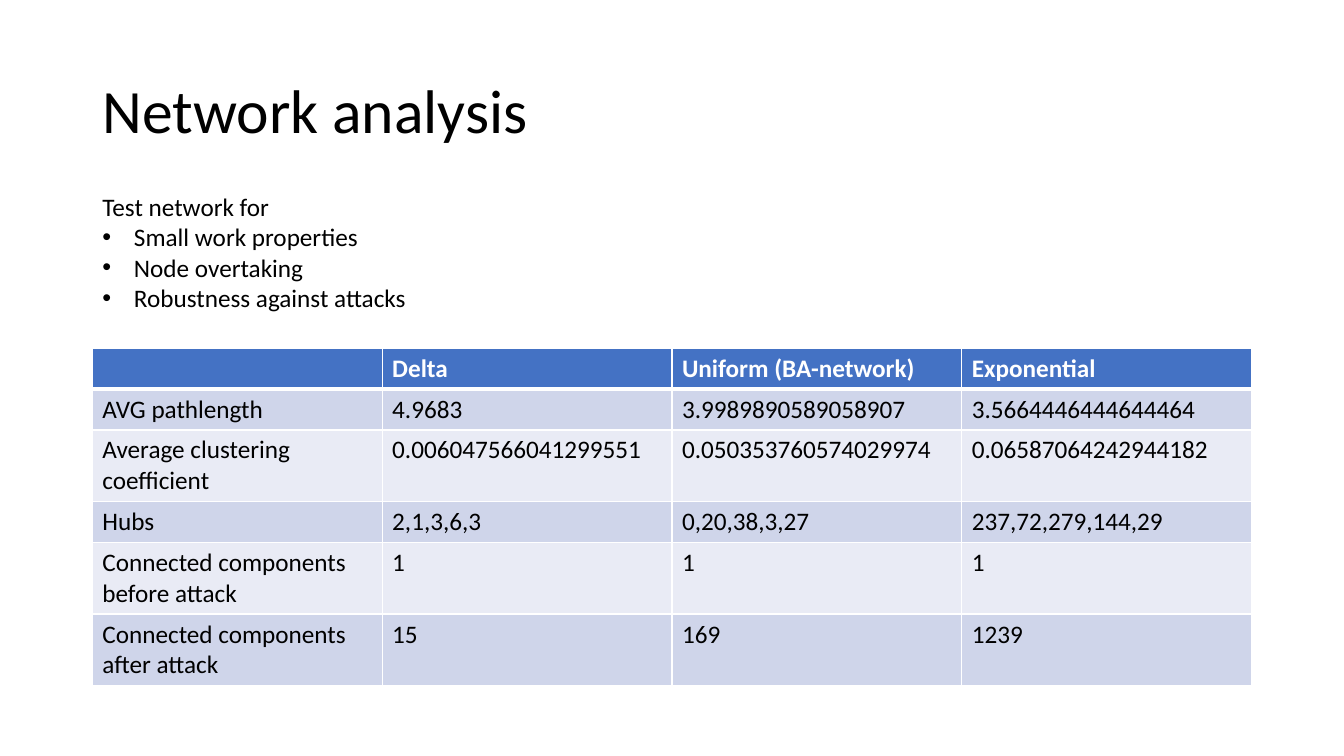
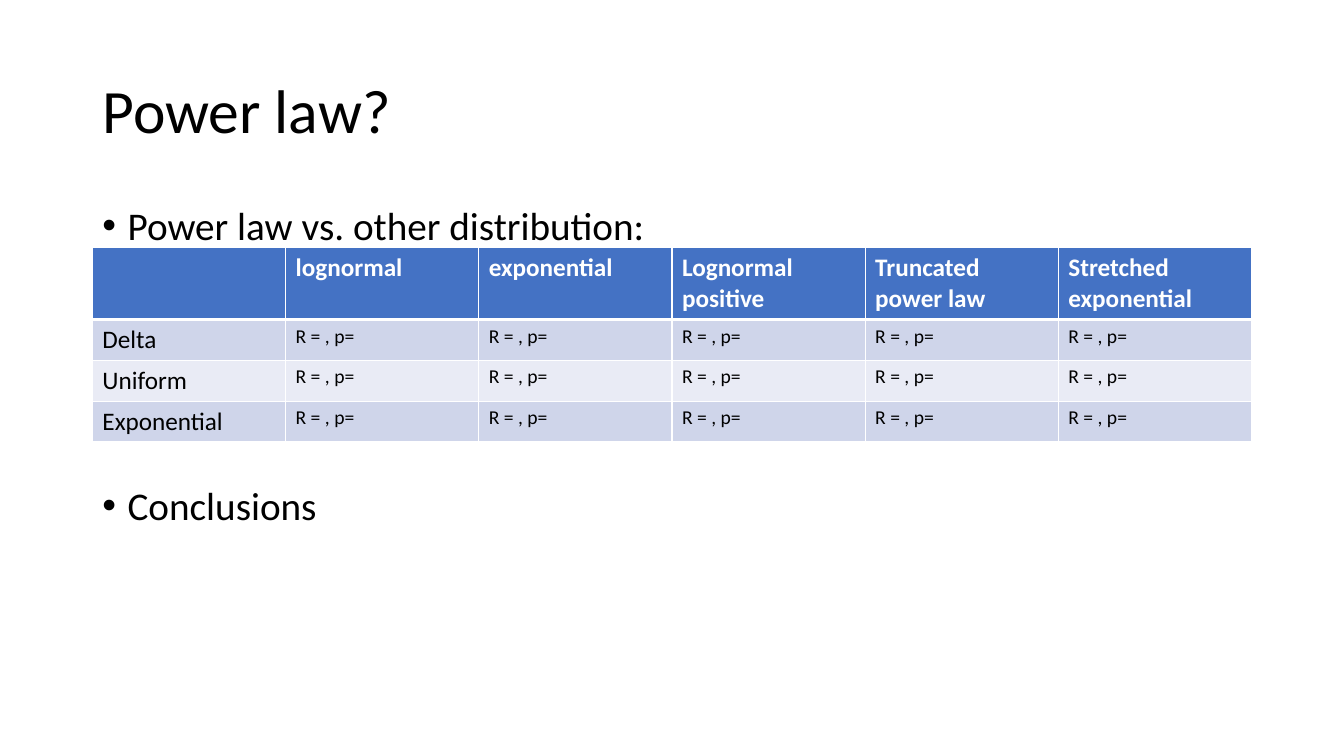
from lxml.etree import SubElement
from pptx import Presentation
from pptx.dml.color import RGBColor
from pptx.enum.text import MSO_ANCHOR, MSO_AUTO_SIZE, PP_ALIGN
from pptx.oxml.ns import qn
from pptx.util import Pt

COLORS = {
    "text": "000000",
    "header": "4472C4",
    "band": "CFD5EA",
    "light": "E9EBF5",
    "white": "FFFFFF",
}


class Deck:
    font = "Calibri"
    left, width = 66, 828
    row_height = 29.2

    def __init__(self):
        self.prs = Presentation()
        self.prs.slide_width, self.prs.slide_height = Pt(960), Pt(540)
        self.s = None

    def add_slide(self, title):
        self.s = self.prs.slides.add_slide(self.prs.slide_layouts[1])
        tf = self.place(self.s.shapes.title, 28.75, 104.4, MSO_ANCHOR.MIDDLE)
        self.add_text(tf.paragraphs[0], title, size=44, line_spacing=0.9)

    def place(self, sp, top, height, anchor):
        box = {"left": self.left, "top": top, "width": self.width, "height": height}
        for name, value in box.items():
            setattr(sp, name, Pt(value))
        tf = sp.text_frame
        frame = {"word_wrap": True, "auto_size": MSO_AUTO_SIZE.NONE, "vertical_anchor": anchor}
        for name, value in frame.items():
            setattr(tf, name, value)
        return tf

    def add_text(self, p, text, size=18, color="text", bold=False, line_spacing=1.0, space_before=0):
        layout = {
            "alignment": PP_ALIGN.LEFT,
            "line_spacing": line_spacing,
            "space_before": Pt(space_before),
            "space_after": Pt(0),
        }
        for name, value in layout.items():
            setattr(p, name, value)
        r = p.add_run()
        r.text = text
        for name, value in {"name": self.font, "size": Pt(size), "bold": bold}.items():
            setattr(r.font, name, value)
        r.font.color.rgb = RGBColor.from_string(COLORS[color])

    def bullet(self, p, indent):
        pPr = p._p.get_or_add_pPr()
        pPr.set("marL", str(Pt(indent)))
        pPr.set("indent", str(-Pt(indent)))
        if indent:
            SubElement(pPr, qn("a:buFont"), typeface="Arial")
            SubElement(pPr, qn("a:buChar"), char="•")
        else:
            SubElement(pPr, qn("a:buNone"))

    def add_list(self, items, top, height, **style):
        tf = self.place(self.s.placeholders[1], top, height, MSO_ANCHOR.TOP)
        for i, (text, indent, space_before) in enumerate(items):
            p = tf.add_paragraph() if i else tf.paragraphs[0]
            self.bullet(p, indent)
            self.add_text(p, text, space_before=space_before, **style)

    def border(self, cell, widths):
        tcPr = cell._tc.get_or_add_tcPr()
        for side, width in widths.items():
            ln = SubElement(tcPr, qn(f"a:ln{side}"), w=str(Pt(width)))
            fill = SubElement(ln, qn("a:solidFill"))
            SubElement(fill, qn("a:srgbClr"), val=COLORS["white"])

    def add_table(self, rows, top, value_size=18):
        n_rows, n_cols = len(rows), len(rows[0])
        table = self.s.shapes.add_table(
            n_rows, n_cols, Pt(self.left), Pt(top), Pt(self.width), Pt(self.row_height * n_rows)
        ).table
        for i, row in enumerate(rows):
            header = i == 0
            fill = "header" if header else "band" if i % 2 else "light"
            widths = {"L": 1, "R": 1, "T": 3 if i == 1 else 1, "B": 3 if header else 1}
            for j, text in enumerate(row):
                cell = table.cell(i, j)
                self.border(cell, widths)
                cell.fill.solid()
                cell.fill.fore_color.rgb = RGBColor.from_string(COLORS[fill])
                if text:
                    self.add_text(
                        cell.text_frame.paragraphs[0],
                        text,
                        size=18 if header or j == 0 else value_size,
                        color="white" if header else "text",
                        bold=header,
                    )


def main():
    deck = Deck()

    deck.add_slide("Network analysis")
    tests = ["Small work properties", "Node overtaking", "Robustness against attacks"]
    deck.add_list([("Test network for", 0, 0)] + [(t, 22.5, 0) for t in tests], 133.2, 94.5)
    deck.add_table(
        [
            ["", "Delta", "Uniform (BA-network)", "Exponential"],
            ["AVG pathlength", "4.9683", "3.9989890589058907", "3.5664446444644464"],
            [
                "Average clustering coefficient",
                "0.006047566041299551",
                "0.050353760574029974",
                "0.06587064242944182",
            ],
            ["Hubs", "2,1,3,6,3", "0,20,38,3,27", "237,72,279,144,29"],
            ["Connected components before attack", "1", "1", "1"],
            ["Connected components after attack", "15", "169", "1239"],
        ],
        248.7,
    )

    deck.add_slide("Power law?")
    deck.add_list(
        [("Power law vs. other distribution:", 18, 0), ("Conclusions", 18, 170)],
        143.75,
        342.6,
        size=28,
        line_spacing=0.9,
    )
    distributions = [
        "lognormal",
        "exponential",
        "Lognormal positive",
        "Truncated power law",
        "Stretched exponential",
    ]
    results = ["R = , p="] * len(distributions)
    networks = ["Delta", "Uniform", "Exponential"]
    deck.add_table([["", *distributions]] + [[n, *results] for n in networks], 177, value_size=14)

    deck.prs.save("out.pptx")


if __name__ == "__main__":
    main()
